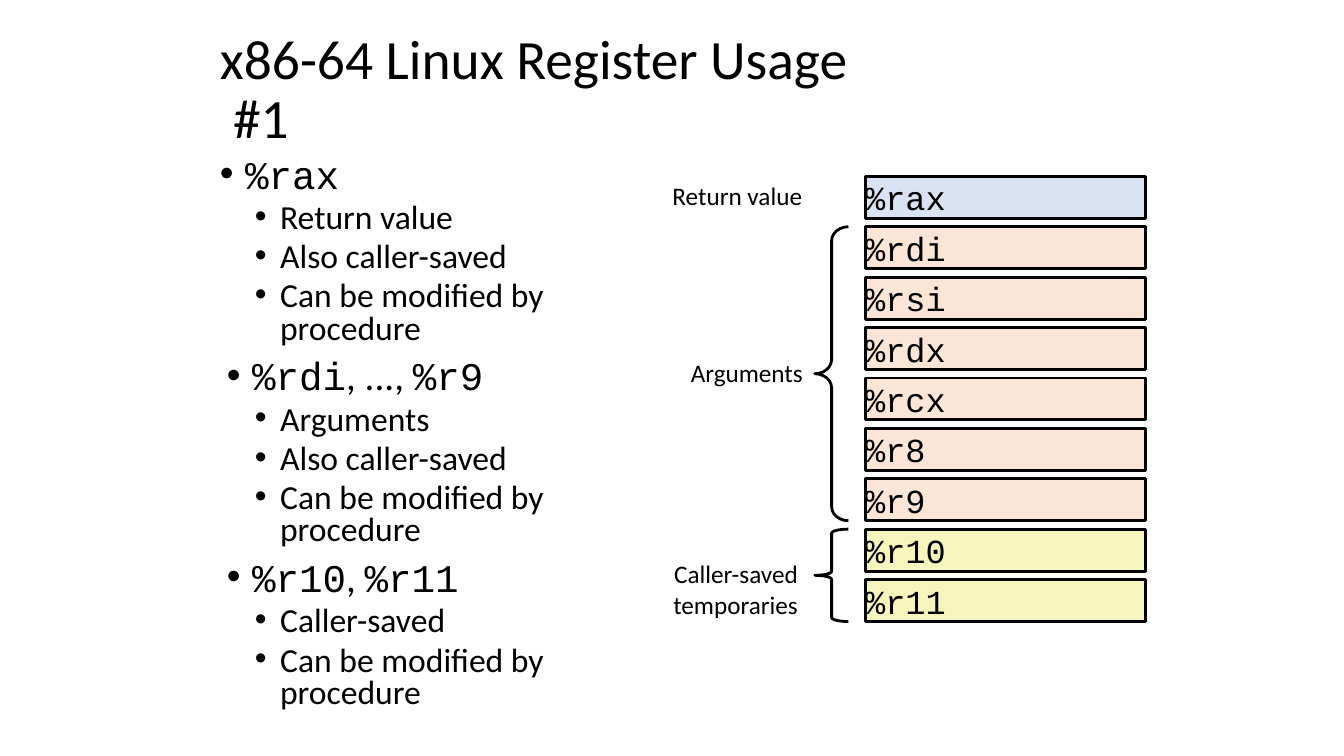
from pptx import Presentation
from pptx.dml.color import RGBColor
from pptx.enum import shapes, text
from pptx.oxml.ns import qn
from pptx.util import Pt
from lxml import etree

# Content
SANS, MONO = "Calibri", "Courier New"
BLACK, BLUE, PEACH, LIME = "000000", "DAE3F3", "FBE5D6", "F6F5BD"

TITLE = "x86-64 Linux Register Usage #1"

# Heading runs, heading indent, sub-items
NOTES = [
    ([("%rax", MONO)], 18,
     ["Return value", "Also caller-saved", "Can be modified by procedure"]),
    ([("%rdi", MONO), (", ..., ", SANS), ("%r9", MONO)], 23,
     ["Arguments", "Also caller-saved", "Can be modified by procedure"]),
    ([("%r10", MONO), (", ", SANS), ("%r11", MONO)], 23,
     ["Caller-saved", "Can be modified by procedure"]),
]

# Register names, fill, label lines, label box (left, width, row offset),
# brace curve (None for no brace)
GROUPS = [
    (["%rax"], BLUE, ["Return value"], (474.5, 101.5, 0), None),
    (["%rdi", "%rsi", "%rdx", "%rcx", "%r8", "%r9"], PEACH,
     ["Arguments"], (488, 88.5, 2.5), 0.42),
    (["%r10", "%r11"], LIME,
     ["Caller-saved", "temporaries"], (473, 100, 0.5), 0.12),
]

# Layout in points
TOP, STEP, HIGH = 126, 36, 30
REG_X, REG_W = 618, 200
BRACE_X, BRACE_W = 582, 24

deck = Presentation()
deck.slide_width, deck.slide_height = Pt(960), Pt(540)
slide = deck.slides.add_slide(deck.slide_layouts[6])


# Helpers
def color(code):
    return RGBColor.from_string(code)


def apply(target, form):
    for name, value in form.items():
        setattr(target, name, value)


def add_run(para, words, size, face=SANS):
    run = para.add_run()
    run.text = words
    apply(run.font, {"size": Pt(size), "name": face})
    run.font.color.rgb = color(BLACK)


def set_frame(frame, pad_x, pad_y, **form):
    apply(frame, {"margin_left": Pt(pad_x), "margin_right": Pt(pad_x),
                  "margin_top": Pt(pad_y), "margin_bottom": Pt(pad_y),
                  "word_wrap": True, **form})


def add_box(left, top, width, height, pad_x, pad_y, **form):
    box = slide.shapes.add_textbox(Pt(left), Pt(top), Pt(width), Pt(height))
    set_frame(box.text_frame, pad_x, pad_y, **form)
    return box.text_frame


def add_para(frame, **form):
    first = frame.paragraphs[0]
    para = frame.add_paragraph() if first.runs else first
    apply(para, form)
    return para


def indent(para, left, hang, bullet=False):
    props = para._p.get_or_add_pPr()
    props.set("marL", str(Pt(left)))
    props.set("indent", str(-Pt(hang)))
    if bullet:
        etree.SubElement(props, qn("a:buFont")).set("typeface", "Arial")
        etree.SubElement(props, qn("a:buChar")).set("char", "•")


def add_shape(kind, left, top, width, height, fill=None):
    shape = slide.shapes.add_shape(
        kind, Pt(left), Pt(top), Pt(width), Pt(height))
    shape.shadow.inherit = False
    shape.line.color.rgb = color(BLACK)
    shape.line.width = Pt(2)
    if fill:
        shape.fill.solid()
        shape.fill.fore_color.rgb = color(fill)
    else:
        shape.fill.background()
    return shape


# Title
head = add_box(150, 20, 510, 90, 7.2, 3.6,
               vertical_anchor=text.MSO_ANCHOR.MIDDLE)
para = add_para(head, line_spacing=0.9)
indent(para, 9.5, 9.5)
add_run(para, TITLE, 39.6)

# Bulleted notes
body = add_box(150, 110, 320, 428, 7.2, 3.6)
for i, (runs, left, items) in enumerate(NOTES):
    para = add_para(body, line_spacing=0.8, space_before=Pt(10 if i else 0))
    indent(para, left, 18, True)
    for words, face in runs:
        add_run(para, words, 28, face)
    for item in items:
        para = add_para(body, level=1, line_spacing=0.8, space_before=Pt(5))
        indent(para, 43, 18, True)
        add_run(para, item, 24)

# Registers with labels and braces
row = 0
for names, fill, lines, (left, width, shift), curve in GROUPS:
    start = TOP + row * STEP
    for i, name in enumerate(names):
        reg = add_shape(shapes.MSO_SHAPE.RECTANGLE, REG_X, start + i * STEP,
                        REG_W, HIGH, fill)
        set_frame(reg.text_frame, 0, 0,
                  vertical_anchor=text.MSO_ANCHOR.MIDDLE)
        para = add_para(reg.text_frame, alignment=text.PP_ALIGN.LEFT)
        add_run(para, name, 24, MONO)
    if curve:
        span = (len(names) - 1) * STEP + HIGH
        brace = add_shape(shapes.MSO_SHAPE.LEFT_BRACE, BRACE_X, start,
                          BRACE_W, span)
        brace.adjustments[0] = curve
    label = add_box(left, start + shift * STEP, width, 6 + 22 * len(lines),
                    3, 3, word_wrap=False,
                    auto_size=text.MSO_AUTO_SIZE.SHAPE_TO_FIT_TEXT)
    for line in lines:
        add_run(add_para(label, alignment=text.PP_ALIGN.RIGHT), line, 18)
    row += len(names)

deck.save("out.pptx")
